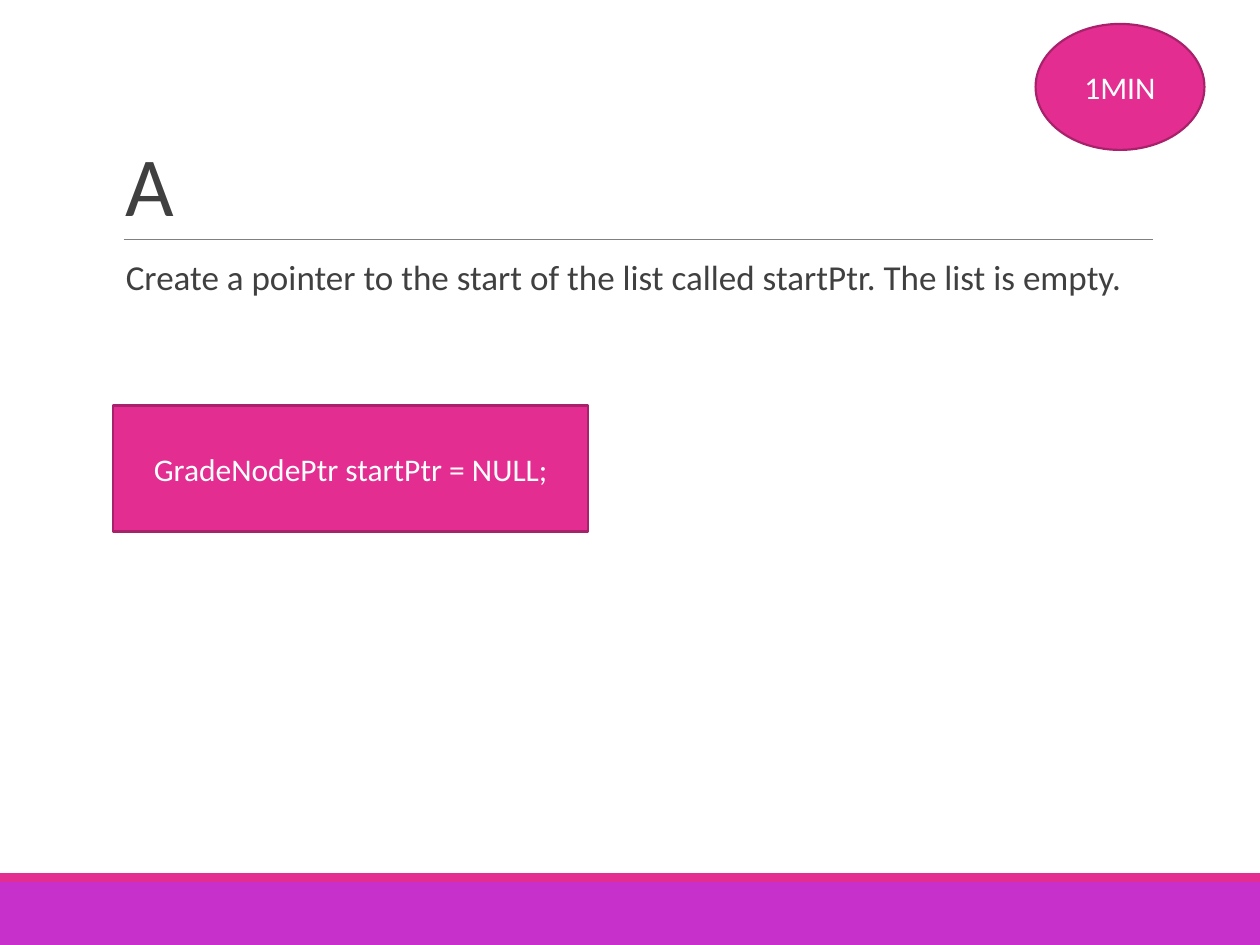
from pptx import Presentation
from pptx.dml.color import RGBColor
from pptx.enum.shapes import MSO_CONNECTOR, MSO_SHAPE
from pptx.enum.text import MSO_ANCHOR, PP_ALIGN
from pptx.oxml.ns import qn
from pptx.util import Pt
from lxml.etree import SubElement

PINK, PLUM, PURPLE = "E32D91", "A8216B", "C830CC"
DARK, GRAY, WHITE = "404040", "808080", "FFFFFF"
WIDE, HIGH = 720, 540
LEFT, SPAN = 64.8, 594


def color(code):
    return RGBColor.from_string(code)


class Deck:
    font = "Calibri"

    def __init__(self, slide):
        self.slide = slide

    def style(self, para, size, code):
        for run in para.runs:
            run.font.name = self.font
            run.font.size = Pt(size)
            run.font.color.rgb = color(code)

    def shape(self, kind, x, y, w, h, fill, edge=None, text=""):
        item = self.slide.shapes.add_shape(kind, Pt(x), Pt(y), Pt(w), Pt(h))
        item.shadow.inherit = False
        item.fill.solid()
        item.fill.fore_color.rgb = color(fill)
        if edge:
            item.line.color.rgb = color(edge)
            item.line.width = Pt(1.25)
        else:
            item.line.fill.background()
        if text:
            frame = item.text_frame
            frame.text = text
            frame.vertical_anchor = MSO_ANCHOR.MIDDLE
            para = frame.paragraphs[0]
            para.alignment = PP_ALIGN.CENTER
            self.style(para, 18, WHITE)

    def text(self, text, x, y, w, h, size, anchor, right=7.2, lead=1.0):
        box = self.slide.shapes.add_textbox(Pt(x), Pt(y), Pt(w), Pt(h))
        frame = box.text_frame
        frame.word_wrap = True
        frame.vertical_anchor = anchor
        frame.margin_right = Pt(right)
        frame.text = text
        para = frame.paragraphs[0]
        para.line_spacing = lead
        self.style(para, size, DARK)
        return para

    def rule(self, x, y, w):
        line = self.slide.shapes.add_connector(
            MSO_CONNECTOR.STRAIGHT, Pt(x), Pt(y), Pt(x + w), Pt(y))
        line.line.color.rgb = color(GRAY)
        line.line.width = Pt(0.5)
        SubElement(line._element.spPr, qn("a:effectLst"))


def main():
    show = Presentation()
    show.slide_width, show.slide_height = Pt(WIDE), Pt(HIGH)
    deck = Deck(show.slides.add_slide(show.slide_layouts[6]))

    # Footer bands
    deck.shape(MSO_SHAPE.RECTANGLE, 0, 504, WIDE, 36, PURPLE)
    deck.shape(MSO_SHAPE.RECTANGLE, 0, 499, WIDE, 5, PINK)

    # Title and its rule
    deck.rule(70.6, 136.8, 588.2)
    title = deck.text("A", LEFT, 22.3, SPAN, 114.5, 48,
                      MSO_ANCHOR.BOTTOM, lead=0.85)
    title.runs[0].font._element.set("spc", "-50")

    # Task
    task = deck.text(
        "Create a pointer to the start of the list called startPtr. "
        "The list is empty.",
        LEFT, 145.4, SPAN, 316.8, 20, MSO_ANCHOR.TOP, right=0, lead=0.9)
    task.space_before, task.space_after = Pt(12), Pt(2)

    # Answer and time limit
    deck.shape(MSO_SHAPE.RECTANGLE, LEFT, 231.8, 271.4, 72, PINK, PLUM,
               "GradeNodePtr startPtr = NULL;")
    deck.shape(MSO_SHAPE.OVAL, 591.8, 13.7, 96.5, 72, PINK, PLUM, "1MIN")

    show.save("out.pptx")


if __name__ == "__main__":
    main()
